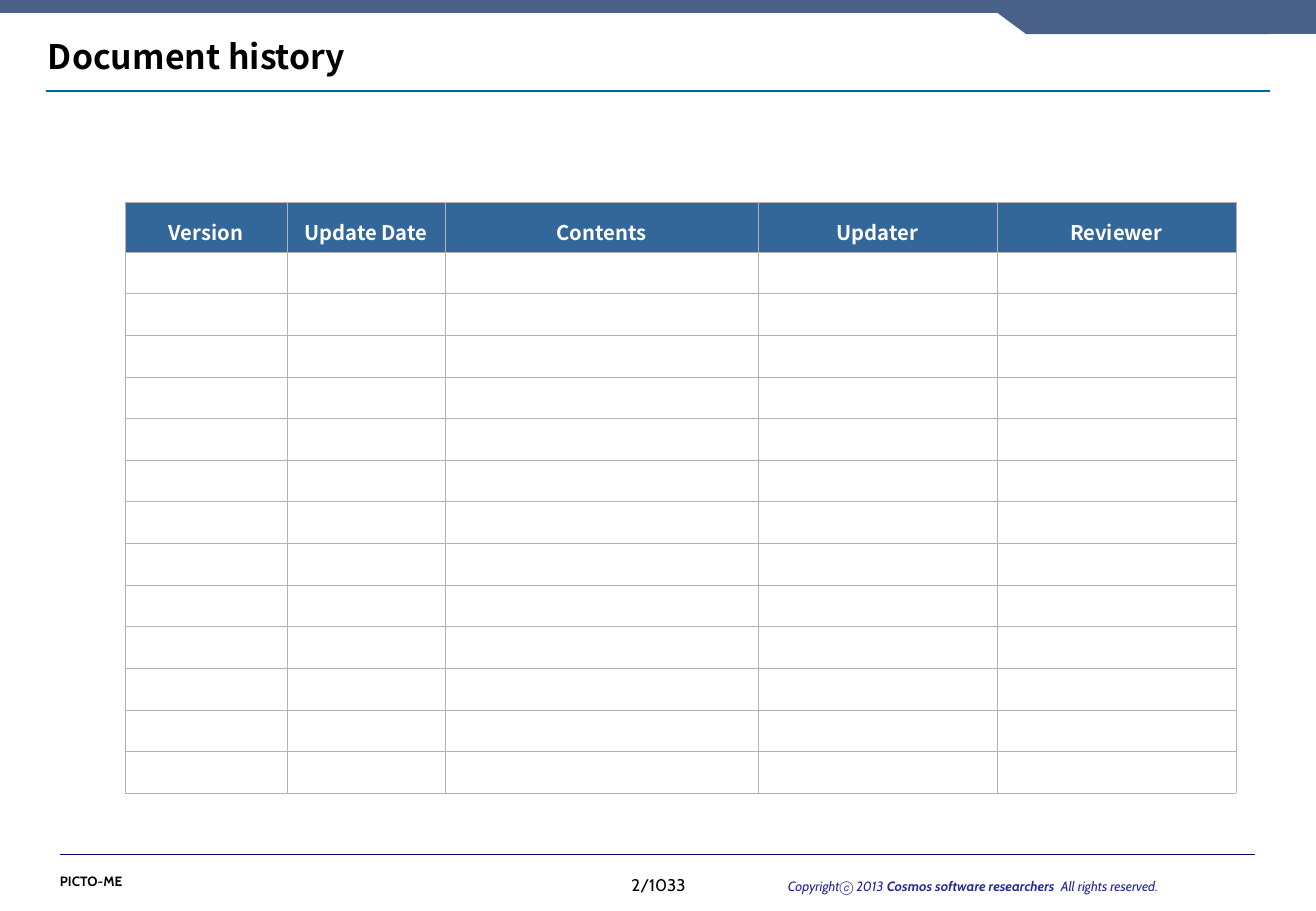
from lxml import etree
from pptx import Presentation, util as u
from pptx.dml.color import RGBColor
from pptx.enum import shapes, text
from pptx.oxml.ns import qn

PX = 7532
SLIDE_INCHES = (10.84, 7.5)
HEADING_FONT, FOOTER_FONT = "Noto Sans CJK KR", "Cabin"
BAND = "4A6288"
BAND_PARTS = [(0, 0, 1000, 13), (1000, 0, 274, 13), (1166, 0, 150, 34)]
BAND_TAB = [(980, 0), (1026, 34), (1269, 34), (1315, 0)]
RULES = [(46, 1270, 91, "006699", 1.5), (60, 1255, 854, "000066", 0.5)]

TITLE = ("Document history", (36, 31, 1244, 55))
FOOTERS = [
    ((583, 868, 151, 35), "center", 10, "000000", [("2/1033", False, False)]),
    ((776, 872, 441, 29), "left", 8, "262699", [
        ("Copyrightⓒ 2013 ", False, True),
        ("Cosmos software researchers ", True, True),
        (" All rights reserved.", False, True)]),
    ((48, 867, 97, 29), "left", 8, "000000", [("PICTO-ME", True, False)]),
]

COLUMNS = [("Version", 162), ("Update Date", 158), ("Contents", 313),
           ("Updater", 239), ("Reviewer", 239)]
TABLE_LEFT, TABLE_TOP = 125, 202
HEADER_HEIGHT, BODY_HEIGHT, BODY_ROWS = 50, 541, 13
HEADER_FILL, GRID = "336699", "B2B2B2"


def emu(*lengths):
    return [round(length * PX) for length in lengths]


def color(hex_string):
    return RGBColor.from_string(hex_string)


def style(run, font, size, hex_string, bold, italic=False):
    run.font.name = font
    run.font.size = u.Pt(size)
    run.font.color.rgb = color(hex_string)
    run.font.bold = bold
    run.font.italic = italic
    ea = etree.SubElement(run.font._element, qn("a:ea"))
    ea.set("typeface", HEADING_FONT)


def paint_band(part):
    part.shadow.inherit = False
    part.fill.solid()
    part.fill.fore_color.rgb = color(BAND)
    part.line.fill.background()


def add_rule(slide, left, right, y, hex_string, width):
    rule = slide.shapes.add_connector(
        shapes.MSO_CONNECTOR.STRAIGHT, *emu(left, y, right, y))
    rule.line.color.rgb = color(hex_string)
    rule.line.width = u.Pt(width)
    etree.SubElement(rule._element.spPr, qn("a:effectLst"))


def add_title(slide):
    words, box = TITLE
    frame = slide.shapes.add_textbox(*emu(*box)).text_frame
    frame.word_wrap = True
    frame.vertical_anchor = text.MSO_ANCHOR.MIDDLE
    frame.text = words
    frame.paragraphs[0].line_spacing = 0.9
    style(frame.paragraphs[0].runs[0], HEADING_FONT, 20, "000000", True)


def add_footer(slide, box, align, size, hex_string, pieces):
    frame = slide.shapes.add_textbox(*emu(*box)).text_frame
    frame.word_wrap = False
    line = frame.paragraphs[0]
    line.alignment = getattr(text.PP_ALIGN, align.upper())
    for words, bold, italic in pieces:
        run = line.add_run()
        run.text = words
        style(run, FOOTER_FONT, size, hex_string, bold, italic)


def add_borders(cell):
    properties = cell._tc.get_or_add_tcPr()
    for position, side in enumerate(("lnL", "lnR", "lnT", "lnB")):
        border = etree.Element(qn("a:" + side), w=str(u.Pt(0.34)))
        fill = etree.SubElement(border, qn("a:solidFill"))
        etree.SubElement(fill, qn("a:srgbClr"), val=GRID)
        properties.insert(position, border)


def add_history(slide):
    width = sum(w for _, w in COLUMNS)
    history = slide.shapes.add_table(
        BODY_ROWS + 1, len(COLUMNS),
        *emu(TABLE_LEFT, TABLE_TOP, width, HEADER_HEIGHT + BODY_HEIGHT)).table
    history.first_row = history.horz_banding = False
    for column, (_, column_width) in zip(history.columns, COLUMNS):
        column.width = emu(column_width)[0]
    for index, row in enumerate(history.rows):
        row.height = emu(BODY_HEIGHT / BODY_ROWS if index else HEADER_HEIGHT)[0]
        for cell, (heading, _) in zip(row.cells, COLUMNS):
            cell.margin_top = cell.margin_bottom = emu(5)[0]
            cell.vertical_anchor = text.MSO_ANCHOR.MIDDLE
            if index:
                cell.fill.background()
                etree.SubElement(cell.text_frame.paragraphs[0]._p,
                                 qn("a:endParaRPr"), sz="1000")
            else:
                cell.fill.solid()
                cell.fill.fore_color.rgb = color(HEADER_FILL)
                cell.text_frame.text = heading
                line = cell.text_frame.paragraphs[0]
                line.alignment = text.PP_ALIGN.CENTER
                line.line_spacing = 1.3
                style(line.runs[0], HEADING_FONT, 12, "FFFFFF", True)
            add_borders(cell)


def main():
    deck = Presentation()
    deck.slide_width, deck.slide_height = map(u.Inches, SLIDE_INCHES)
    slide = deck.slides.add_slide(deck.slide_layouts[6])
    for rule in RULES:
        add_rule(slide, *rule)
    for box in BAND_PARTS:
        paint_band(slide.shapes.add_shape(
            shapes.MSO_SHAPE.RECTANGLE, *emu(*box)))
    outline = slide.shapes.build_freeform(*BAND_TAB[0], scale=PX)
    outline.add_line_segments(BAND_TAB[1:], close=True)
    paint_band(outline.convert_to_shape())
    for footer in FOOTERS:
        add_footer(slide, *footer)
    add_title(slide)
    add_history(slide)
    deck.save("out.pptx")


if __name__ == "__main__":
    main()
